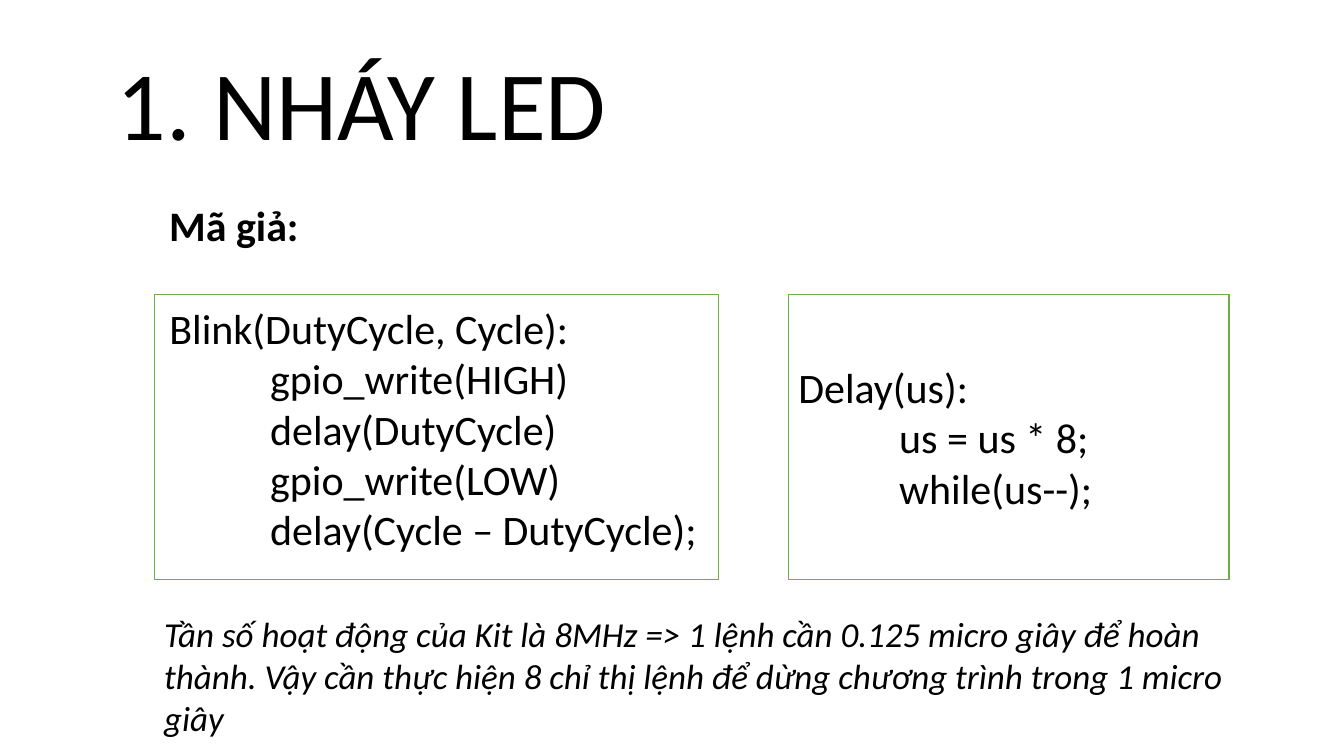
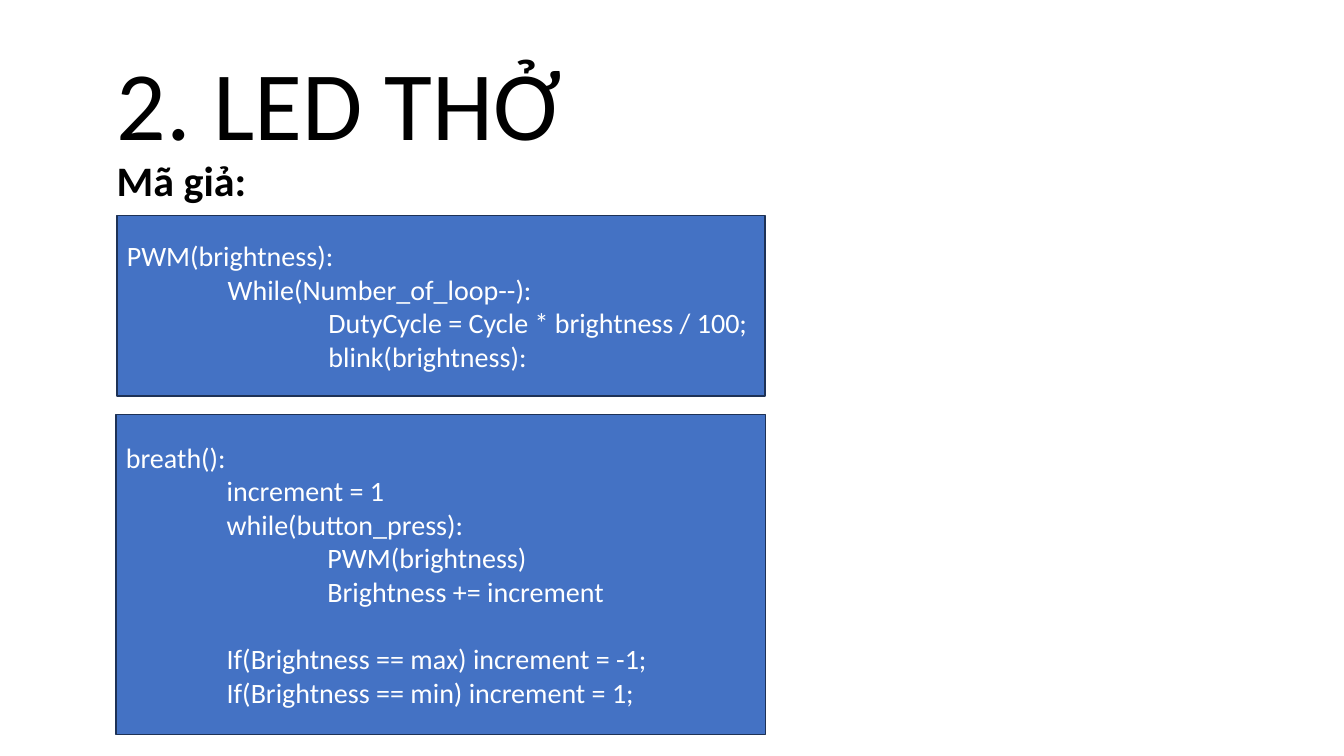
from dataclasses import dataclass

from pptx import Presentation
from pptx.dml.color import RGBColor
from pptx.enum.shapes import MSO_SHAPE
from pptx.enum.text import MSO_ANCHOR, MSO_AUTO_SIZE, PP_ALIGN
from pptx.util import Inches, Pt

RECTANGLE = MSO_SHAPE.RECTANGLE
TOP, MIDDLE = MSO_ANCHOR.TOP, MSO_ANCHOR.MIDDLE
LEFT = PP_ALIGN.LEFT
NO_AUTOFIT = MSO_AUTO_SIZE.NONE

TITLE_ONLY = 5
FONT = "Calibri"
COLORS = {
    "black": "000000",
    "white": "FFFFFF",
    "green": "70AD47",
    "blue": "4472C4",
    "navy": "1E3256",
}
TITLE_FORMAT = {"size": Pt(70), "bold": False}
LABEL_FORMAT = {"size": Pt(30), "bold": True}
NOTE_FORMAT = {"size": Pt(25), "italic": True}
INDENT = Inches(1)
BLOCK_GAP = Pt(24)


@dataclass(frozen=True)
class Box:
    left: float
    top: float
    width: float
    height: float

    def lengths(self):
        return [Inches(value) for value in (self.left, self.top, self.width, self.height)]


@dataclass(frozen=True)
class CodeStyle:
    fill: str
    line: str
    text: str
    size: int


@dataclass(frozen=True)
class CodeLine:
    text: str
    level: int = 0
    starts_block: bool = False


@dataclass(frozen=True)
class CodePanel:
    box: Box
    lines: tuple[CodeLine, ...]
    anchor: MSO_ANCHOR = MIDDLE
    margin_left: float = 0.1
    margin_top: float = 0.05


@dataclass(frozen=True)
class Page:
    title: str
    label: str
    label_box: Box
    style: CodeStyle
    panels: tuple[CodePanel, ...]
    note: str = ""


OUTLINED = CodeStyle("white", "green", "black", 30)
FILLED = CodeStyle("blue", "navy", "white", 20)
TITLE_BOX = Box(1.06, 0.37, 11.2, 1.28)
NOTE_BOX = Box(1.53, 6.03, 10.99, 1.36)

PAGES = (
    Page(
        "1. NHÁY LED",
        "Mã giả:",
        Box(1.58, 1.93, 3, 0.6),
        OUTLINED,
        (
            CodePanel(
                Box(1.53, 2.92, 5.6, 2.83),
                (
                    CodeLine("Blink(DutyCycle, Cycle):"),
                    CodeLine("gpio_write(HIGH)", 1),
                    CodeLine("delay(DutyCycle)", 1),
                    CodeLine("gpio_write(LOW)", 1),
                    CodeLine("delay(Cycle – DutyCycle);", 1),
                ),
                TOP,
                0.15,
                0.08,
            ),
            CodePanel(
                Box(7.82, 2.92, 4.37, 2.83),
                (
                    CodeLine("Delay(us):"),
                    CodeLine("us = us * 8;", 1),
                    CodeLine("while(us--);", 1),
                ),
            ),
        ),
        "Tần số hoạt động của Kit là 8MHz => 1 lệnh cần 0.125 micro giây để hoàn thành. "
        "Vậy cần thực hiện 8 chỉ thị lệnh để dừng chương trình trong 1 micro giây",
    ),
    Page(
        "2. LED THỞ",
        "Mã giả:",
        Box(1.06, 1.48, 3, 0.6),
        FILLED,
        (
            CodePanel(
                Box(1.16, 2.14, 6.43, 1.79),
                (
                    CodeLine("PWM(brightness):"),
                    CodeLine("While(Number_of_loop--):", 1),
                    CodeLine("DutyCycle = Cycle * brightness / 100;", 2),
                    CodeLine("blink(brightness):", 2),
                ),
            ),
            CodePanel(
                Box(1.15, 4.11, 6.44, 3.18),
                (
                    CodeLine("breath():"),
                    CodeLine("increment = 1", 1),
                    CodeLine("while(button_press):", 1),
                    CodeLine("PWM(brightness)", 2),
                    CodeLine("Brightness += increment", 2),
                    CodeLine("If(Brightness == max) increment = -1;", 1, True),
                    CodeLine("If(Brightness == min) increment = 1;", 1),
                ),
            ),
        ),
    ),
)


def rgb(name: str) -> RGBColor:
    return RGBColor.from_string(COLORS[name])


def set_attributes(target, values: dict) -> None:
    for name, value in values.items():
        setattr(target, name, value)


def write_paragraph(paragraph, text: str, font_format: dict, color: str = "black") -> None:
    paragraph.alignment = LEFT
    run = paragraph.add_run()
    run.text = text
    set_attributes(run.font, {"name": FONT, **font_format})
    run.font.color.rgb = rgb(color)


def add_title(slide, text: str) -> None:
    title = slide.shapes.title
    title.left, title.top, title.width, title.height = TITLE_BOX.lengths()
    frame = title.text_frame
    set_attributes(frame, {"auto_size": NO_AUTOFIT, "vertical_anchor": TOP, "word_wrap": True})
    write_paragraph(frame.paragraphs[0], text, TITLE_FORMAT)


def add_text(slide, box: Box, text: str, font_format: dict) -> None:
    frame = slide.shapes.add_textbox(*box.lengths()).text_frame
    frame.word_wrap = True
    write_paragraph(frame.paragraphs[0], text, font_format)


def add_code_panel(slide, panel: CodePanel, style: CodeStyle) -> None:
    shape = slide.shapes.add_shape(RECTANGLE, *panel.box.lengths())
    shape.shadow.inherit = False
    shape.fill.solid()
    shape.fill.fore_color.rgb = rgb(style.fill)
    shape.line.color.rgb = rgb(style.line)
    shape.line.width = Pt(1)
    frame = shape.text_frame
    set_attributes(frame, {
        "word_wrap": True,
        "vertical_anchor": panel.anchor,
        "margin_left": Inches(panel.margin_left),
        "margin_top": Inches(panel.margin_top),
    })
    for index, line in enumerate(panel.lines):
        paragraph = frame.add_paragraph() if index else frame.paragraphs[0]
        write_paragraph(paragraph, line.text, {"size": Pt(style.size)}, style.text)
        properties = paragraph._p.get_or_add_pPr()
        properties.set("marL", str(line.level * INDENT))
        if line.starts_block:
            paragraph.space_before = BLOCK_GAP


def add_page(presentation, page: Page) -> None:
    slide = presentation.slides.add_slide(presentation.slide_layouts[TITLE_ONLY])
    add_title(slide, page.title)
    add_text(slide, page.label_box, page.label, LABEL_FORMAT)
    for panel in page.panels:
        add_code_panel(slide, panel, page.style)
    if page.note:
        add_text(slide, NOTE_BOX, page.note, NOTE_FORMAT)


def main() -> None:
    presentation = Presentation()
    presentation.slide_width = Inches(13.33)
    presentation.slide_height = Inches(7.5)
    for page in PAGES:
        add_page(presentation, page)
    presentation.save("out.pptx")


if __name__ == "__main__":
    main()
